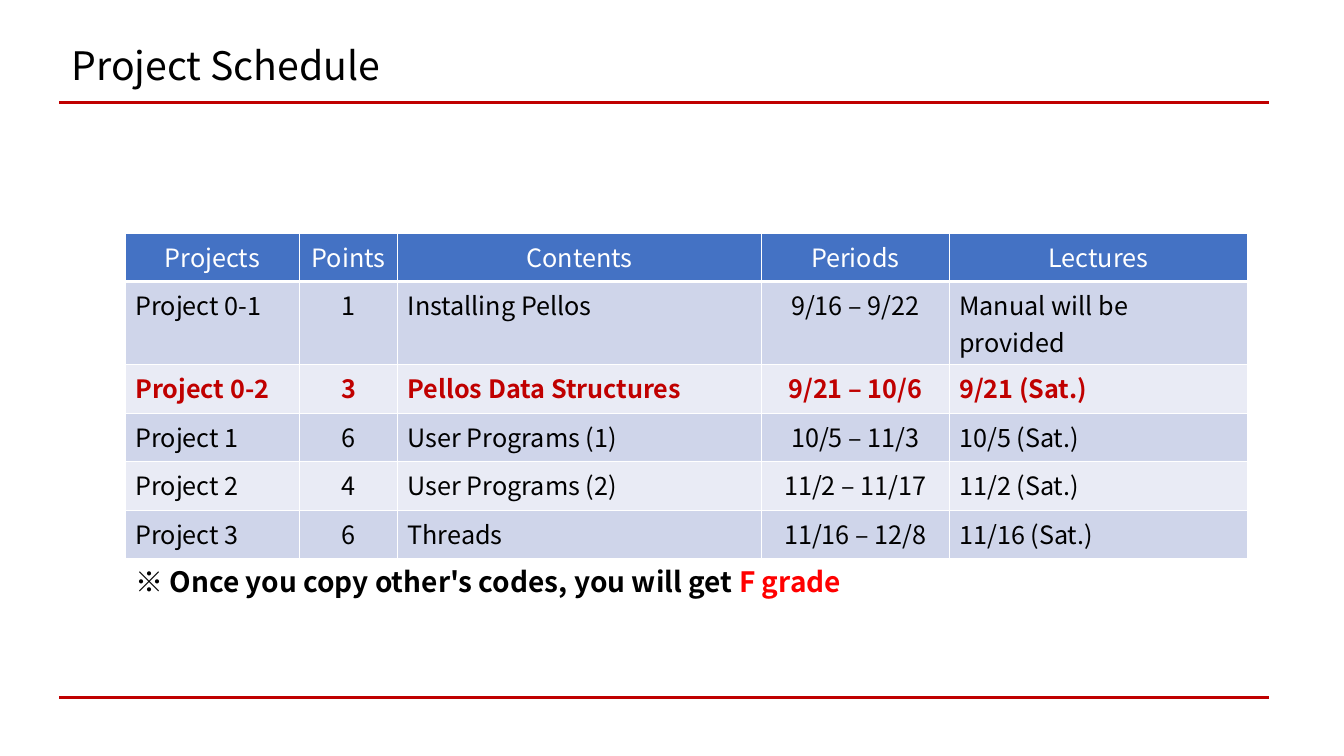
import lxml.etree
import pptx
import pptx.dml.color
import pptx.enum.shapes
import pptx.enum.text
import pptx.oxml
import pptx.oxml.ns
import pptx.util

Pt = pptx.util.Pt
RGBColor = pptx.dml.color.RGBColor
ALIGN = pptx.enum.text.PP_ALIGN
qn = pptx.oxml.ns.qn

FONT = "Noto Sans CJK KR"
BLACK = RGBColor(0x00, 0x00, 0x00)
WHITE = RGBColor(0xFF, 0xFF, 0xFF)
CRIMSON = RGBColor(0xC0, 0x00, 0x00)
RED = RGBColor(0xFF, 0x00, 0x00)
HEADER_BLUE = RGBColor(0x44, 0x72, 0xC4)
BANDS = [RGBColor(0xCF, 0xD5, 0xEA), RGBColor(0xE9, 0xEB, 0xF5)]

COLUMN_WIDTHS = [124.5, 70, 260, 134, 213.5]
CENTERED_COLUMNS = {1, 3}
CURRENT_PROJECT = 2
SCHEDULE = [
    ["Projects", "Points", "Contents", "Periods", "Lectures"],
    ["Project 0-1", "1", "Installing Pellos", "9/16 – 9/22", "Manual will be provided"],
    ["Project 0-2", "3", "Pellos Data Structures", "9/21 – 10/6", "9/21 (Sat.)"],
    ["Project 1", "6", "User Programs (1)", "10/5 – 11/3", "10/5 (Sat.)"],
    ["Project 2", "4", "User Programs (2)", "11/2 – 11/17", "11/2 (Sat.)"],
    ["Project 3", "6", "Threads", "11/16 – 12/8", "11/16 (Sat.)"],
]


def add_run(paragraph, text, size, color, bold=False):
    """Append one formatted run to a paragraph."""
    run = paragraph.add_run()
    run.text = text
    run.font.name = FONT
    run.font.size = Pt(size)
    run.font.bold = bold
    run.font.color.rgb = color
    east_asian = lxml.etree.SubElement(run.font._element, qn("a:ea"))
    east_asian.set("typeface", FONT)


def add_rule(slide, left, top, width):
    """Draw a horizontal crimson rule."""
    rule = slide.shapes.add_connector(
        pptx.enum.shapes.MSO_CONNECTOR.STRAIGHT,
        Pt(left), Pt(top), Pt(left + width), Pt(top))
    rule.line.color.rgb = CRIMSON
    rule.line.width = Pt(2.25)
    lxml.etree.SubElement(rule._element.spPr, qn("a:effectLst"))


def add_title(slide, left, top, width, height):
    """Place the slide title in its placeholder."""
    title = slide.shapes.title
    title.left, title.top, title.width, title.height = map(Pt, (left, top, width, height))
    title.text_frame.vertical_anchor = pptx.enum.text.MSO_ANCHOR.MIDDLE
    heading = title.text_frame.paragraphs[0]
    heading.alignment = ALIGN.LEFT
    heading.line_spacing = 0.9
    add_run(heading, "Project Schedule", 28, BLACK)


def set_borders(cell, bottom_width):
    """Give a cell white borders, one point wide except at the bottom."""
    properties = cell._tc.get_or_add_tcPr()
    for position, side in enumerate(["lnL", "lnR", "lnT", "lnB"]):
        width = bottom_width if side == "lnB" else 1
        border = pptx.oxml.parse_xml(
            f'<a:{side} xmlns:a="http://schemas.openxmlformats.org/drawingml/2006/main" '
            f'w="{Pt(width)}"><a:solidFill><a:srgbClr val="{WHITE}"/></a:solidFill></a:{side}>')
        properties.insert(position, border)


def add_schedule(slide, left, top, width, height):
    """Build the project table with its header and banded rows."""
    schedule = slide.shapes.add_table(
        len(SCHEDULE), len(COLUMN_WIDTHS), Pt(left), Pt(top), Pt(width), Pt(height)).table
    for column, column_width in zip(schedule.columns, COLUMN_WIDTHS):
        column.width = Pt(column_width)
    for row, entries in enumerate(SCHEDULE):
        header, current = row == 0, row == CURRENT_PROJECT
        color = WHITE if header else CRIMSON if current else BLACK
        for column, entry in enumerate(entries):
            cell = schedule.cell(row, column)
            cell.fill.solid()
            cell.fill.fore_color.rgb = HEADER_BLUE if header else BANDS[(row - 1) % 2]
            set_borders(cell, 3 if header else 1)
            paragraph = cell.text_frame.paragraphs[0]
            centered = header or column in CENTERED_COLUMNS
            paragraph.alignment = ALIGN.CENTER if centered else ALIGN.LEFT
            add_run(paragraph, entry, 18, color, current)


def add_warning(slide, left, top, width, height):
    """Write the warning about copied code below the table."""
    warning = slide.shapes.add_textbox(Pt(left), Pt(top), Pt(width), Pt(height)).text_frame
    warning.word_wrap = False
    warning.auto_size = pptx.enum.text.MSO_AUTO_SIZE.SHAPE_TO_FIT_TEXT
    sentence = warning.paragraphs[0]
    add_run(sentence, "※ Once you copy other's codes, you will get ", 20, BLACK, True)
    add_run(sentence, "F grade", 20, RED, True)


def add_schedule_slide(presentation):
    """Add the schedule slide with its title, rules, table and warning."""
    slide = presentation.slides.add_slide(presentation.slide_layouts[5])
    for top in (498.5, 73.5):
        add_rule(slide, 42.5, top, 864)
    add_title(slide, 44, 29.5, 828, 38)
    add_schedule(slide, 89.5, 166.5, sum(COLUMN_WIDTHS), 208)
    add_warning(slide, 89.5, 399.5, 522.5, 31.5)


def main():
    """Create and save the presentation."""
    presentation = pptx.Presentation()
    presentation.slide_width, presentation.slide_height = Pt(960), Pt(540)
    add_schedule_slide(presentation)
    presentation.save("out.pptx")


if __name__ == "__main__":
    main()
